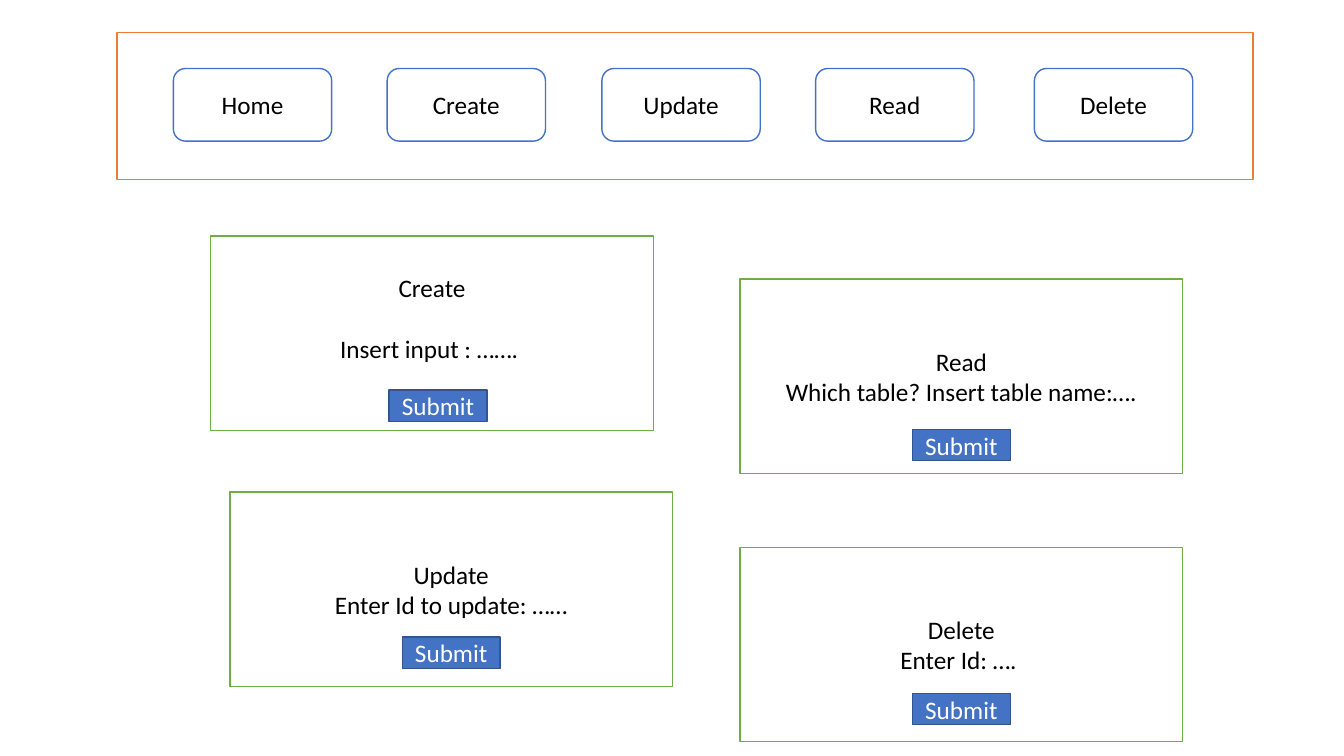
from dataclasses import dataclass

from pptx import Presentation
from pptx.dml.color import RGBColor
from pptx.enum.shapes import MSO_SHAPE as Shape
from pptx.enum.text import MSO_ANCHOR as Anchor, PP_ALIGN as Align
from pptx.util import Inches, Pt

COLORS = {
    "white": "FFFFFF",
    "black": "000000",
    "blue": "4472C4",
    "dark_blue": "325491",
    "green": "70AD47",
    "orange": "ED7D31",
}
FONT = "Calibri"
TEXT_SIZE = 18
BLANK_LINE = 22  # height of one line of text, in points

CARD_W, CARD_H = 4.39, 1.93
SUBMIT_W, SUBMIT_H = 0.97, 0.31
NAV_TOP, NAV_W, NAV_H = 0.68, 1.57, 0.72


@dataclass
class Card:
    title: str
    prompt: str
    left: float
    top: float
    submit_left: float
    submit_top: float
    spaced: bool = False


@dataclass
class NavButton:
    label: str
    left: float


CARDS = [
    Card("Create", "Insert input : ……. ", 2.09, 2.34, 3.86, 3.87, spaced=True),
    Card("Read", "Which table? Insert table name:….", 7.34, 2.77, 9.05, 4.26),
    Card("Update", "Enter Id to update: ……", 2.28, 4.88, 3.99, 6.32),
    Card("Delete", "Enter Id: …. ", 7.34, 5.43, 9.05, 6.88),
]
NAV_BUTTONS = [
    NavButton("Home", 1.72),
    NavButton("Create", 3.84),
    NavButton("Update", 5.97),
    NavButton("Read", 8.09),
    NavButton("Delete", 10.26),
]


def rgb(name: str) -> RGBColor:
    return RGBColor.from_string(COLORS[name])


def add_box(slide, kind, left: float, top: float, width: float, height: float,
            line: str, text: str = "", fill: str = "white", color: str = "black"):
    """Add an outlined shape with centred text, one paragraph per line."""
    sp = slide.shapes.add_shape(
        kind, Inches(left), Inches(top), Inches(width), Inches(height))
    sp.shadow.inherit = False
    sp.fill.solid()
    sp.fill.fore_color.rgb = rgb(fill)
    sp.line.color.rgb = rgb(line)
    sp.line.width = Pt(1)
    tf = sp.text_frame
    tf.word_wrap = True
    tf.vertical_anchor = Anchor.MIDDLE
    tf.text = text
    for p in tf.paragraphs:
        p.alignment = Align.CENTER
        for r in p.runs:
            r.font.name = FONT
            r.font.size = Pt(TEXT_SIZE)
            r.font.color.rgb = rgb(color)
    return sp


def add_card(slide, card: Card) -> None:
    sp = add_box(slide, Shape.RECTANGLE, card.left, card.top, CARD_W, CARD_H,
                 "green", f"{card.title}\n{card.prompt}")
    if card.spaced:
        tf = sp.text_frame
        tf.paragraphs[1].space_before = Pt(BLANK_LINE)
        tf.margin_bottom += Pt(BLANK_LINE)
    add_box(slide, Shape.RECTANGLE, card.submit_left, card.submit_top,
            SUBMIT_W, SUBMIT_H, "dark_blue", "Submit", "blue", "white")


def main() -> None:
    prs = Presentation()
    prs.slide_width, prs.slide_height = Inches(13.33), Inches(7.5)
    slide = prs.slides.add_slide(prs.slide_layouts[6])

    # Form cards with their submit buttons
    for card in CARDS:
        add_card(slide, card)

    # Navigation bar
    add_box(slide, Shape.RECTANGLE, 1.16, 0.32, 11.27, 1.46, "orange")
    for button in NAV_BUTTONS:
        add_box(slide, Shape.ROUNDED_RECTANGLE, button.left, NAV_TOP,
                NAV_W, NAV_H, "blue", button.label)

    prs.save("out.pptx")


if __name__ == "__main__":
    main()
